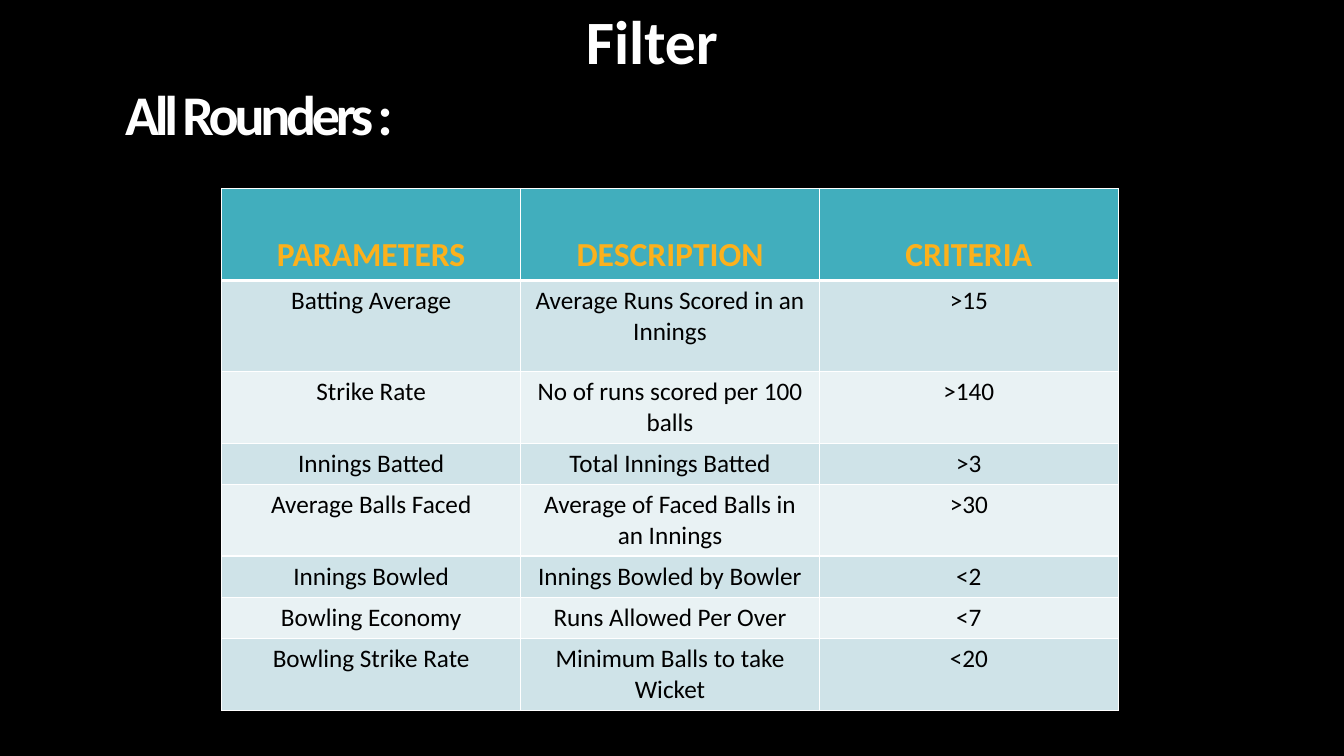
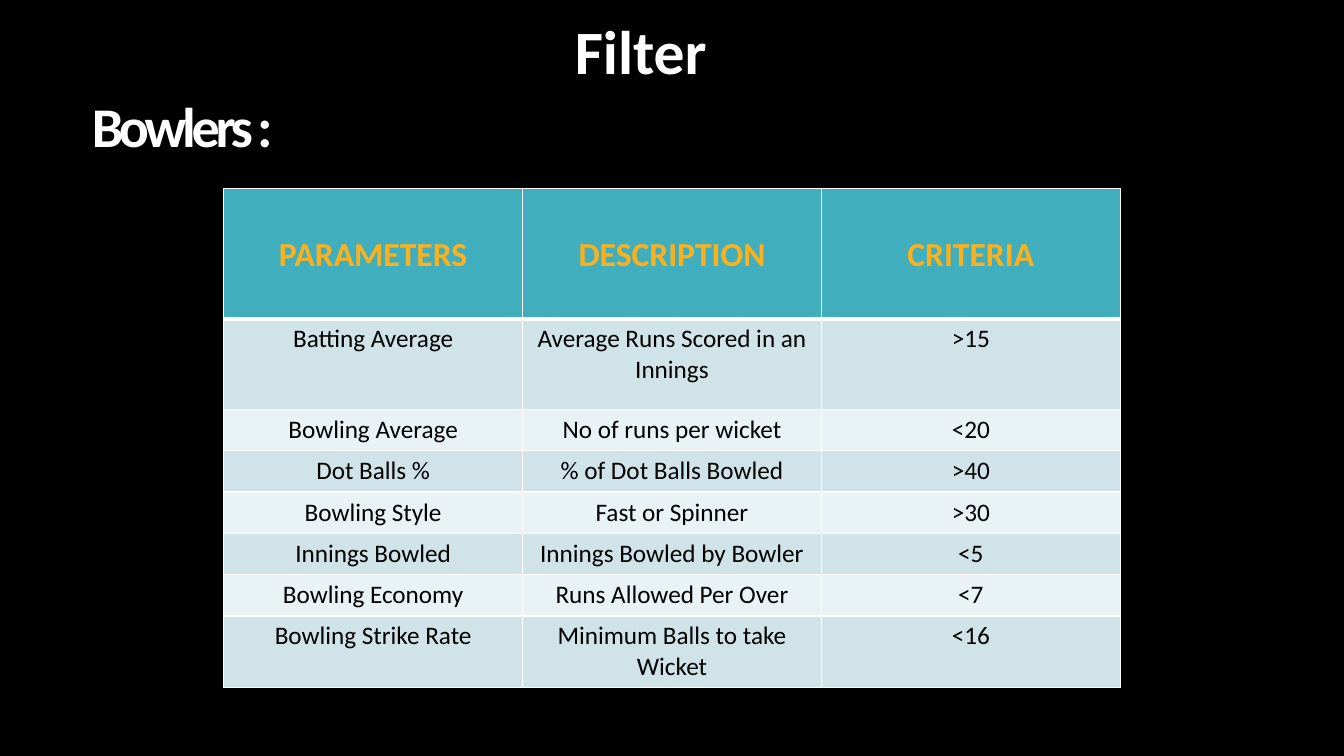
from dataclasses import dataclass

from lxml import etree
from pptx import Presentation
from pptx.dml.color import RGBColor
from pptx.enum import text
from pptx.oxml import ns
from pptx.util import Cm, Pt


# Colours, font and type sizes
@dataclass(frozen=True)
class Theme:
    font: str = "Calibri"
    background: str = "000000"
    light: str = "FFFFFF"
    header_fill: str = "41AEBD"
    header_text: str = "FCB11C"
    bands: tuple = ("CFE3E8", "E9F2F4")
    body_text: str = "000000"
    heading_size: int = 44
    role_size: int = 40
    header_size: int = 24
    body_size: int = 18
    role_tracking: int = -3
    thin: int = 1
    thick: int = 3


class Deck:
    """Holds the style and the current slide."""

    def __init__(self, theme):
        self.theme = theme
        self.prs = Presentation()
        self.prs.slide_width, self.prs.slide_height = Cm(33.87), Cm(19.05)
        self.fill(self.prs.slide_master.background, theme.background)
        self.slide = None

    def fill(self, target, color):
        target.fill.solid()
        target.fill.fore_color.rgb = RGBColor.from_string(color)

    def add_slide(self):
        self.slide = self.prs.slides.add_slide(self.prs.slide_layouts[0])

    def style(self, paragraph, size, color, bold, align):
        paragraph.alignment = align
        font = paragraph.font
        font.name, font.size, font.bold = self.theme.font, Pt(size), bold
        font.color.rgb = RGBColor.from_string(color)

    def place(self, holder, words, box, size, align, anchor):
        holder.left, holder.top, holder.width, holder.height = map(Cm, box)
        frame = holder.text_frame
        frame.text = words
        frame.word_wrap = True
        frame.auto_size = text.MSO_AUTO_SIZE.NONE
        frame.vertical_anchor = anchor
        paragraph = frame.paragraphs[0]
        paragraph.line_spacing = 0.9
        self.style(paragraph, size, self.theme.light, True, align)
        return paragraph

    def role(self, words, left, top):
        paragraph = self.place(
            self.slide.shapes.title, words, (left, top, 25, 1.5),
            self.theme.role_size, text.PP_ALIGN.LEFT, text.MSO_ANCHOR.TOP)
        tracking = str(self.theme.role_tracking * 100)
        paragraph.runs[0].font._element.set("spc", tracking)

    def heading(self, words, left, top):
        paragraph = self.place(
            self.slide.placeholders[1], words, (left, top, 25.4, 2.08),
            self.theme.heading_size, text.PP_ALIGN.CENTER,
            text.MSO_ANCHOR.BOTTOM)
        paragraph.space_before = Pt(10)

    def borders(self, cell, top, bottom):
        thin = self.theme.thin
        tc_pr = cell._tc.get_or_add_tcPr()
        for side, width in zip("LRTB", (thin, thin, top, bottom)):
            line = etree.SubElement(tc_pr, ns.qn(f"a:ln{side}"), w=str(Pt(width)))
            solid = etree.SubElement(line, ns.qn("a:solidFill"))
            etree.SubElement(solid, ns.qn("a:srgbClr"), val=self.theme.light)

    def criteria_table(self, rows, left, header_height):
        theme = self.theme
        heights = [header_height, 2.29] + [1.04] * (len(rows) - 2)
        table = self.slide.shapes.add_table(
            len(rows), len(rows[0]), Cm(left), Cm(4.75),
            Cm(7.53 * len(rows[0])), Cm(sum(heights))).table
        for row, height in zip(table.rows, heights):
            row.height = Cm(height)
        for r, values in enumerate(rows):
            header = r == 0
            for c, value in enumerate(values):
                cell = table.cell(r, c)
                cell.text = value
                self.borders(cell, theme.thick if r == 1 else theme.thin,
                             theme.thick if header else theme.thin)
                self.fill(cell, theme.header_fill if header
                          else theme.bands[(r - 1) % 2])
                if header:
                    cell.margin_top = Cm(1.16)
                self.style(cell.text_frame.paragraphs[0],
                           theme.header_size if header else theme.body_size,
                           theme.header_text if header else theme.body_text,
                           header, text.PP_ALIGN.CENTER)


# Rows that both tables use
HEADER = ("PARAMETERS", "DESCRIPTION", "CRITERIA")
BATTING_AVERAGE = ("Batting Average", "Average Runs Scored in an Innings", ">15")
BOWLING_ECONOMY = ("Bowling Economy", "Runs Allowed Per Over", "<7")


def innings_bowled(limit):
    return ("Innings Bowled", "Innings Bowled by Bowler", limit)


def bowling_strike_rate(limit):
    return ("Bowling Strike Rate", "Minimum Balls to take Wicket", limit)


ALL_ROUNDERS = [
    HEADER,
    BATTING_AVERAGE,
    ("Strike Rate", "No of runs scored per 100 balls", ">140"),
    ("Innings Batted", "Total Innings Batted", ">3"),
    ("Average Balls Faced", "Average of Faced Balls in an Innings", ">30"),
    innings_bowled("<2"),
    BOWLING_ECONOMY,
    bowling_strike_rate("<20"),
]
BOWLERS = [
    HEADER,
    BATTING_AVERAGE,
    ("Bowling Average", "No of runs per wicket", "<20"),
    ("Dot Balls %", "% of Dot Balls Bowled", ">40"),
    ("Bowling Style", "Fast or Spinner", ">30"),
    innings_bowled("<5"),
    BOWLING_ECONOMY,
    bowling_strike_rate("<16"),
]


def main():
    deck = Deck(Theme())

    # All rounders
    deck.add_slide()
    deck.role("All Rounders :", 2.9, 2.08)
    deck.heading("Filter", 3.73, 0)
    deck.criteria_table(ALL_ROUNDERS, 5.59, 2.31)

    # Bowlers
    deck.add_slide()
    deck.role("Bowlers :", 2.06, 2.36)
    deck.heading("Filter", 3.45, 0.25)
    deck.criteria_table(BOWLERS, 5.64, 3.28)

    deck.prs.save("out.pptx")


if __name__ == "__main__":
    main()
